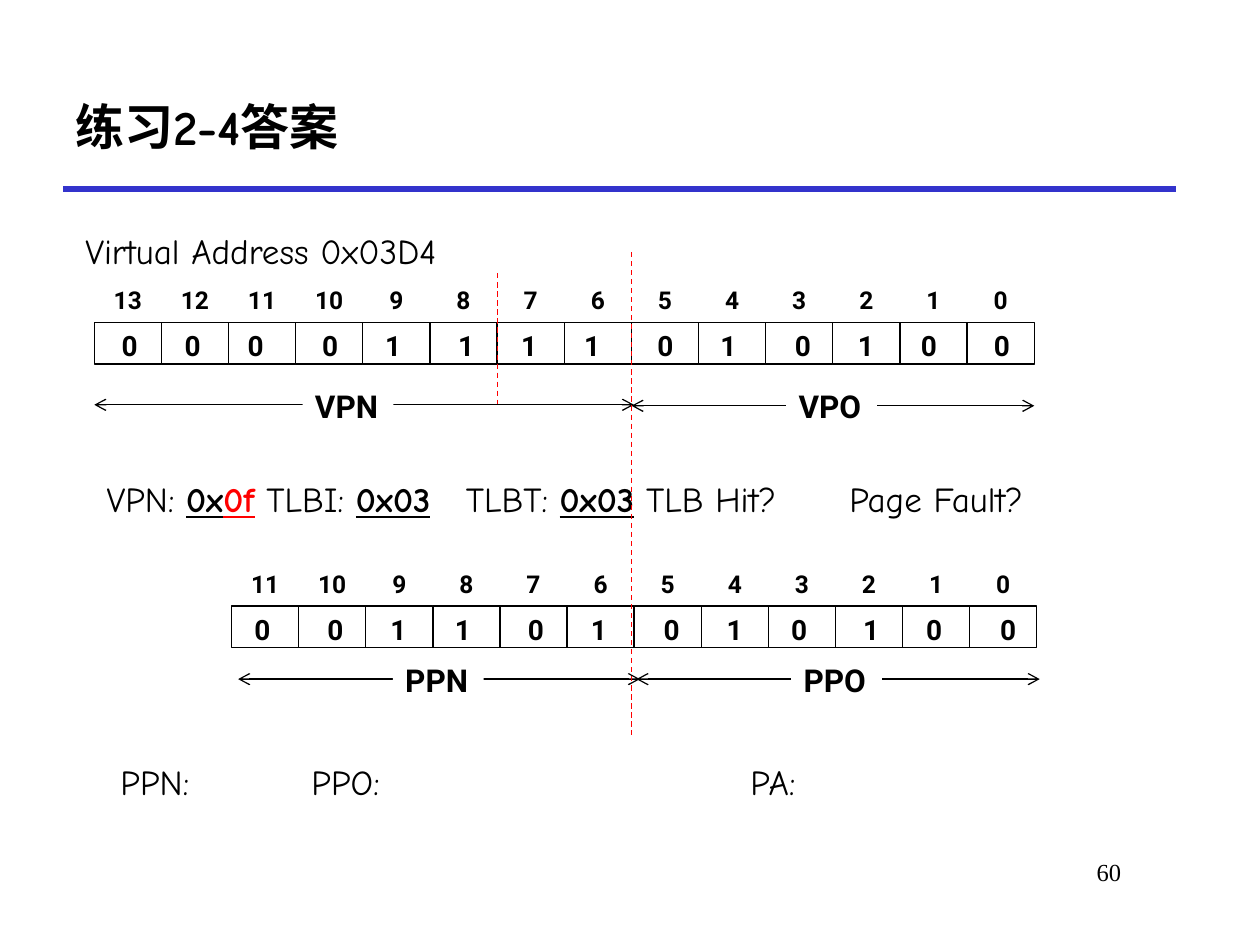
from lxml.etree import SubElement
from pptx import Presentation
from pptx.dml.color import RGBColor
from pptx.enum.dml import MSO_LINE_DASH_STYLE as DASH
from pptx.enum.shapes import MSO_CONNECTOR_TYPE as CONNECTOR, MSO_SHAPE as SHAPE
from pptx.enum.text import MSO_ANCHOR as ANCHOR, PP_ALIGN as ALIGN
from pptx.oxml.ns import qn
from pptx.util import Cm, Pt

COLORS = {"text": "000000", "rule": "3333CC", "accent": "FF0000", "paper": "FFFFFF"}
HAND, SANS, SERIF = "Comic Neue", "Roboto", "Times New Roman"
BODY = {"name": HAND, "size": Pt(20)}
ANSWER = {"bold": True, "underline": True}
HOT_ANSWER = {**ANSWER, "color": "accent"}
BIT_NUMBER = {"name": SANS, "size": Pt(14), "bold": True}
BIT_VALUE = {"name": SANS, "size": Pt(16), "bold": True}
FIELD_NAME = {"name": SANS, "size": Pt(18), "bold": True}
CELL_HEIGHT = 0.84

ADDRESSES = [
    {"left": 1.9, "right": 20.85, "top": 6.5, "bits": "00001111010100", "bit_width": 1.07,
     "bit_lefts": [2.08, 3.35, 4.62, 6.12, 7.39, 8.86, 10.13, 11.4, 12.88, 14.15,
                   15.65, 16.92, 18.19, 19.66],
     "spans": [("VPO", 12.73, 20.85, 8.18, 15.85), ("VPN", 1.9, 12.78, 8.16, 6.1)],
     "label_top": 7.77},
    {"left": 4.67, "right": 20.9, "top": 12.22, "bits": "001101010100", "bit_width": 0.81,
     "bit_lefts": [4.88, 6.35, 7.62, 8.92, 10.39, 11.66, 13.13, 14.4, 15.7, 17.15,
                   18.42, 19.91],
     "spans": [("PPO", 12.83, 20.96, 13.69, 15.95), ("PPN", 4.8, 12.9, 13.69, 7.92)],
     "label_top": 13.28},
]

# An underlined tab is a blank to fill in; it ends at the next tab stop.
TLB_RUNS = [
    ("VPN: ", {}), ("0x", ANSWER), ("0f", HOT_ANSWER), (" TLBI: ", {}), ("0x03", ANSWER),
    ("\tTLBT: ", {}), ("0x03", ANSWER), (" TLB Hit? ", {}), ("\t", ANSWER),
    (" Page Fault? ", {}), ("\t", ANSWER), ("\t", {}), ("\t", ANSWER),
]
TLB_STOPS = [7.24, 14.74, 19.49, 19.95, 20.2]
PHYSICAL_RUNS = [
    ("PPN: ", {}), ("\t", ANSWER), ("\tPPO: ", {}), ("\t", ANSWER),
    ("\tPA: ", {}), ("\t", ANSWER),
]
PHYSICAL_STOPS = [3.13, 3.85, 7.2, 12.7, 15.34]


def rgb(name):
    return RGBColor.from_string(COLORS[name])


def add_run(paragraph, text, style):
    run = paragraph.add_run()
    run.text = text
    style = {"color": "text", **style}
    run.font.color.rgb = rgb(style.pop("color"))
    for name, value in style.items():
        setattr(run.font, name, value)


def add_text(slide, box, runs, base, wrap=True, anchor=ANCHOR.TOP, stops=(), **layout):
    """Place one paragraph of styled runs; layout holds paragraph settings."""
    shape = slide.shapes.add_textbox(*map(Cm, box))
    frame = shape.text_frame
    frame.word_wrap = wrap
    frame.vertical_anchor = anchor
    paragraph = frame.paragraphs[0]
    if stops:
        tab_list = SubElement(paragraph._p.get_or_add_pPr(), qn("a:tabLst"))
        for stop in stops:
            SubElement(tab_list, qn("a:tab"), pos=str(Cm(stop)), algn="l")
    for name, value in layout.items():
        setattr(paragraph, name, value)
    for text, style in runs:
        add_run(paragraph, text, {**base, **style})
    return shape


def add_line(slide, start, end, color="text", width=0.75, dash=None, arrows=False):
    line = slide.shapes.add_connector(CONNECTOR.STRAIGHT, *map(Cm, (*start, *end)))
    line.line.color.rgb = rgb(color)
    line.line.width = Pt(width)
    if dash:
        line.line.dash_style = dash
    if arrows:
        for tag in ("a:headEnd", "a:tailEnd"):
            SubElement(line.line._get_or_add_ln(), qn(tag), type="arrow")
    SubElement(line._element.spPr, qn("a:effectLst"))


def add_cell(slide, left, top, width):
    cell = slide.shapes.add_shape(SHAPE.RECTANGLE, *map(Cm, (left, top, width, CELL_HEIGHT)))
    cell.shadow.inherit = False
    cell.fill.background()
    cell.line.color.rgb = rgb("text")
    cell.line.width = Pt(0.75)


def add_address(slide, address):
    """Draw the numbered bit cells, the field spans below them and the bit values."""
    bits, top = address["bits"], address["top"]
    pitch = (address["right"] - address["left"]) / len(bits)
    for index in range(len(bits)):
        left = address["left"] + index * pitch
        add_cell(slide, left, top, pitch)
        add_text(slide, (left, top - CELL_HEIGHT, pitch, CELL_HEIGHT),
                 [(str(len(bits) - 1 - index), {})], BIT_NUMBER, wrap=False,
                 anchor=ANCHOR.MIDDLE, alignment=ALIGN.CENTER, line_spacing=0.9)
    for name, start, end, y, label_left in address["spans"]:
        add_line(slide, (start, y), (end, y), arrows=True)
        label = add_text(slide, (label_left, address["label_top"], 1.83, 0.94),
                         [(name, {})], FIELD_NAME, wrap=False, line_spacing=0.9)
        label.fill.solid()
        label.fill.fore_color.rgb = rgb("paper")
    for bit, left in zip(bits, address["bit_lefts"]):
        add_text(slide, (left, top, address["bit_width"], 0.94), [(bit, {})],
                 BIT_VALUE, wrap=False, alignment=ALIGN.CENTER)


def set_title(slide, text):
    title = slide.shapes.title
    title.left, title.top, title.width, title.height = map(Cm, (1.27, 1.27, 22.43, 2.54))
    title.text_frame.vertical_anchor = ANCHOR.MIDDLE
    paragraph = title.text_frame.paragraphs[0]
    paragraph.alignment = ALIGN.LEFT
    add_run(paragraph, text, {"name": HAND, "size": Pt(28), "bold": True})


def main():
    presentation = Presentation()
    presentation.slide_width, presentation.slide_height = Cm(25.4), Cm(19.05)
    slide = presentation.slides.add_slide(presentation.slide_layouts[5])

    add_line(slide, (1.27, 3.81), (23.7, 3.81), "rule", 3)
    set_title(slide, "练习2-4答案")
    add_text(slide, (19.25, 17.15, 3.6, 1.27), [("60", {})],
             {"name": SERIF, "size": Pt(14)}, alignment=ALIGN.RIGHT)
    add_text(slide, (1.47, 4.5, 8.59, 1.09), [("Virtual Address 0x03D4", {})], BODY, wrap=False)
    add_text(slide, (1.9, 9.17, 23.5, 1.45), TLB_RUNS, BODY, stops=TLB_STOPS, line_spacing=1.4)
    add_text(slide, (2.18, 14.86, 19.08, 1.45), PHYSICAL_RUNS, BODY,
             stops=PHYSICAL_STOPS, line_spacing=1.4)
    for address in ADDRESSES:
        add_address(slide, address)
    for x, top, bottom in ((12.73, 5.08, 14.81), (10.03, 5.51, 8.15)):
        add_line(slide, (x, top), (x, bottom), "accent", dash=DASH.DASH)

    presentation.save("out.pptx")


if __name__ == "__main__":
    main()
